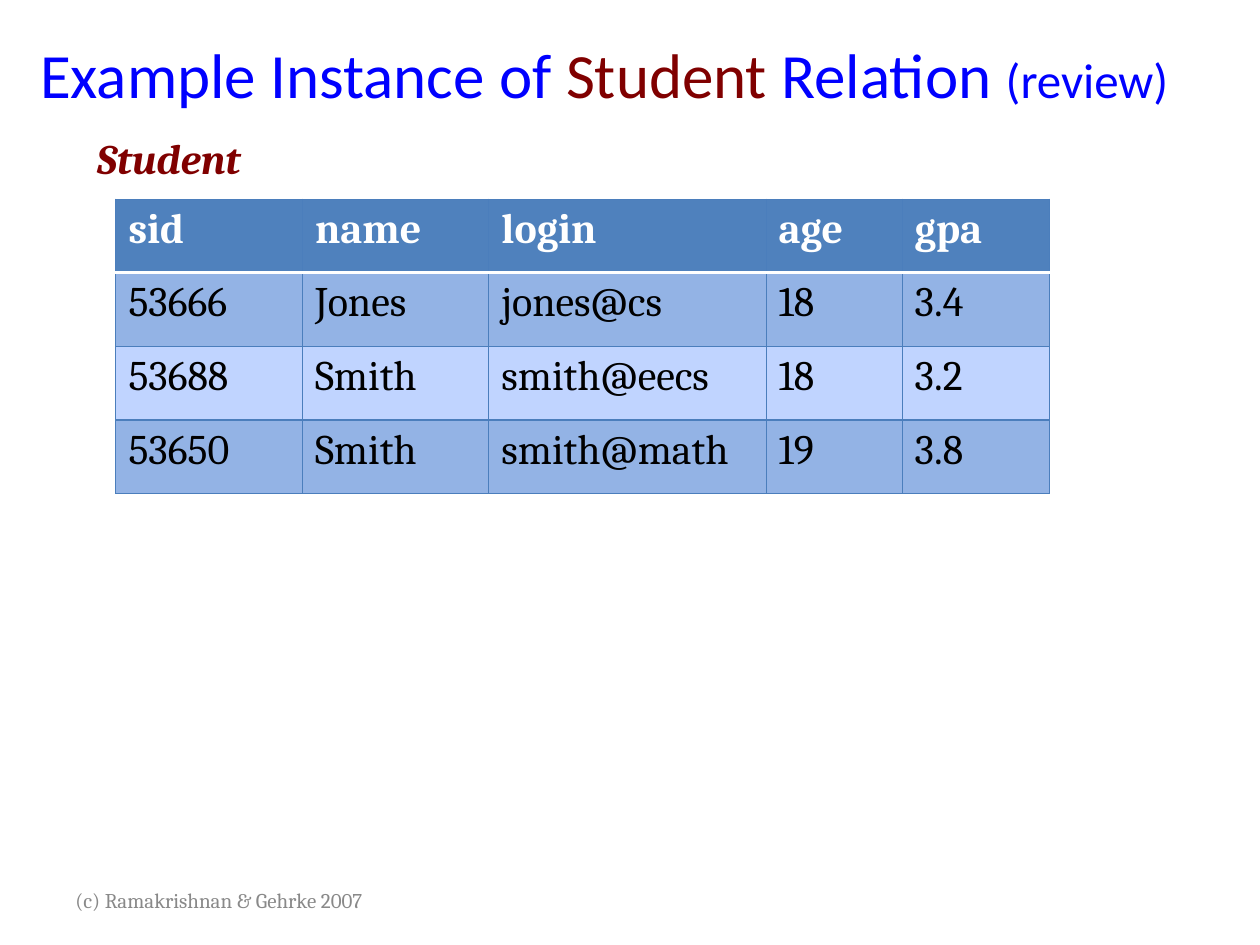
from lxml import etree
from pptx import Presentation
from pptx import util as u
from pptx.dml.color import RGBColor
from pptx.enum import text as t
from pptx.oxml.ns import qn


def paint(obj, code):
    obj.rgb = RGBColor.from_string(code)


def write(para, words, code, **form):
    run = para.add_run()
    run.text = words
    for key, val in form.items():
        setattr(run.font, key, val)
    paint(run.font.color, code)


deck = Presentation()
deck.slide_width, deck.slide_height = u.Inches(10), u.Inches(7.5)
slide = deck.slides.add_slide(deck.slide_layouts[5])

title = slide.shapes.title
place = {"left": 0.17, "top": 0.17, "width": 9.25, "height": 0.83}
for key, val in place.items():
    setattr(title, key, u.Inches(val))
frame = title.text_frame
frame.auto_size = t.MSO_AUTO_SIZE.NONE
frame.vertical_anchor = t.MSO_ANCHOR.MIDDLE
para = frame.paragraphs[0]
para.alignment = t.PP_ALIGN.CENTER
for words, code, size in [
    ("Example Instance of ", "0000FF", 36),
    ("Student", "800000", 36),
    (" Relation ", "0000FF", 36),
    ("(review)", "0000FF", 28),
]:
    write(para, words, code, size=u.Pt(size), name="Calibri")

data = [
    ["sid", "name", "login", "age", "gpa"],
    ["53666", "Jones", "jones@cs", "18", "3.4"],
    ["53688", "Smith", "smith@eecs", "18", "3.2"],
    ["53650", "Smith", "smith@math", "19", "3.8"],
]
fills = ["4F81BD", "93B3E5", "C0D4FF", "93B3E5"]
wides = [1.48, 1.48, 2.2, 1.08, 1.17]
table = slide.shapes.add_table(
    len(data), len(wides), u.Inches(0.92), u.Inches(1.58),
    u.Inches(sum(wides)), u.Inches(2.34)).table
table.horz_banding = False
for col, wide in zip(table.columns, wides):
    col.width = u.Inches(wide)

for r, row in enumerate(data):
    table.rows[r].height = u.Inches(0.585)
    for c, words in enumerate(row):
        cell = table.cell(r, c)
        cell.fill.solid()
        paint(cell.fill.fore_color, fills[r])
        write(cell.text_frame.paragraphs[0], words,
              "000000" if r else "FFFFFF",
              size=u.Pt(24), name="Cambria", bold=r == 0)
        props = cell._tc.get_or_add_tcPr()
        for n, side in enumerate("LRTB"):
            rule = (r, side) in [(0, "B"), (1, "T")]
            line = etree.Element(qn("a:ln" + side))
            line.set("w", str(u.Pt(2 if rule else 0.75)))
            solid = etree.SubElement(line, qn("a:solidFill"))
            tint = etree.SubElement(solid, qn("a:srgbClr"))
            tint.set("val", "FFFFFF" if rule else "4B7EBC")
            props.insert(n, line)

for words, spot, code, wrap, anchor, form in [
    ("Student", (0.67, 1, 1.36, 0.51), "800000", False, t.MSO_ANCHOR.TOP,
     {"size": u.Pt(24), "bold": True, "italic": True}),
    ("(c) Ramakrishnan & Gehrke 2007", (0.5, 6.95, 2.67, 0.38), "898989",
     True, t.MSO_ANCHOR.MIDDLE, {"size": u.Pt(12)}),
]:
    box = slide.shapes.add_textbox(*map(u.Inches, spot))
    frame = box.text_frame
    frame.word_wrap = wrap
    frame.vertical_anchor = anchor
    write(frame.paragraphs[0], words, code, name="Cambria", **form)

deck.save("out.pptx")
